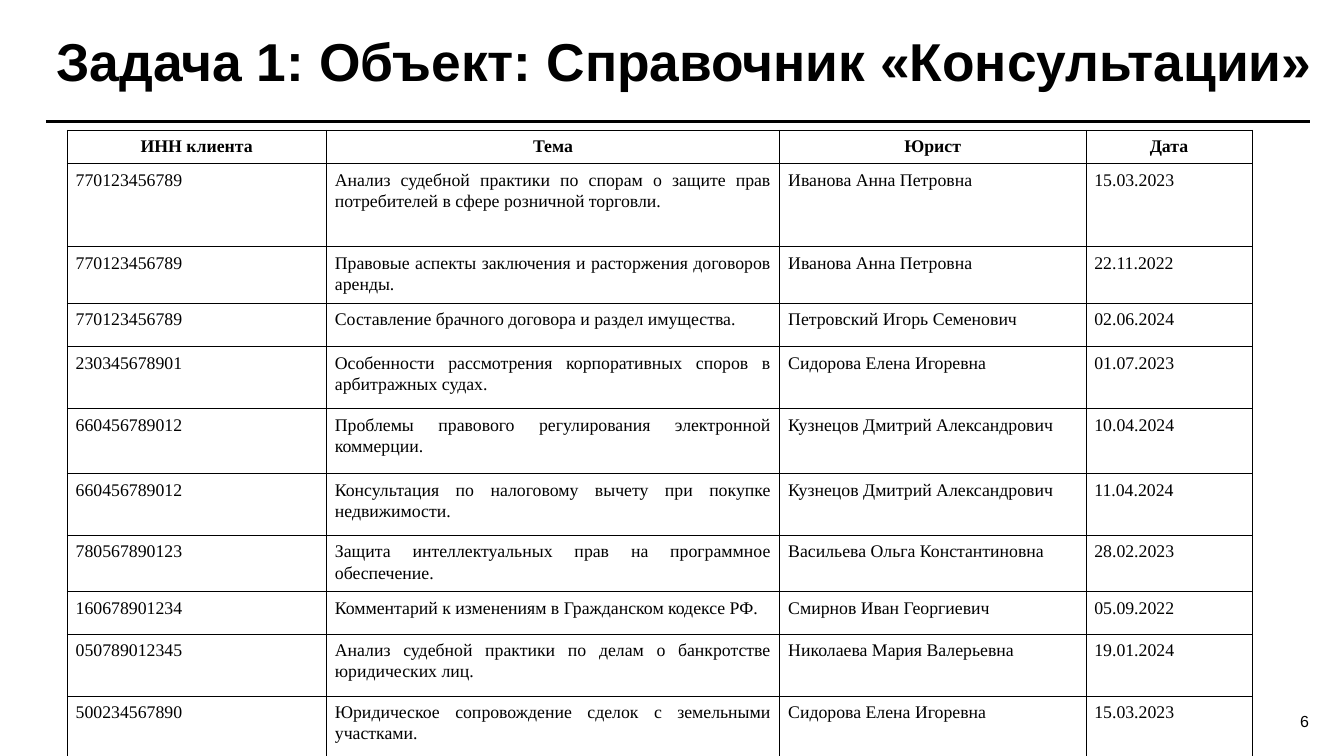
from lxml import etree
from pptx import Presentation
from pptx.dml.color import RGBColor
from pptx.enum.shapes import MSO_CONNECTOR
from pptx.enum.text import MSO_ANCHOR, PP_ALIGN
from pptx.oxml import parse_xml
from pptx.oxml.ns import nsdecls, qn
from pptx.util import Inches, Pt

BLACK = RGBColor(0, 0, 0)
WHITE = RGBColor(255, 255, 255)
LEFT, CENTER, RIGHT = PP_ALIGN.LEFT, PP_ALIGN.CENTER, PP_ALIGN.RIGHT
JUSTIFY = PP_ALIGN.JUSTIFY
TOP, MIDDLE = MSO_ANCHOR.TOP, MSO_ANCHOR.MIDDLE
STRAIGHT = MSO_CONNECTOR.STRAIGHT

MARGIN = 0.43
CELL_INSET = 0.08
COLUMN_WIDTHS = [2.43, 4.25, 2.87, 1.56]
ROW_HEIGHTS = [0.3, 0.78, 0.49, 0.41, 0.58, 0.61, 0.58, 0.5, 0.4, 0.58, 0.57]
CONSULTATIONS = [
    ("ИНН клиента", "Тема", "Юрист", "Дата"),
    ("770123456789", "Анализ судебной практики по спорам о защите прав "
     "потребителей в сфере розничной торговли.",
     "Иванова Анна Петровна", "15.03.2023"),
    ("770123456789", "Правовые аспекты заключения и расторжения договоров аренды.",
     "Иванова Анна Петровна", "22.11.2022"),
    ("770123456789", "Составление брачного договора и раздел имущества.",
     "Петровский Игорь Семенович", "02.06.2024"),
    ("230345678901", "Особенности рассмотрения корпоративных споров в "
     "арбитражных судах.",
     "Сидорова Елена Игоревна", "01.07.2023"),
    ("660456789012", "Проблемы правового регулирования электронной коммерции.",
     "Кузнецов Дмитрий Александрович", "10.04.2024"),
    ("660456789012", "Консультация по налоговому вычету при покупке недвижимости.",
     "Кузнецов Дмитрий Александрович", "11.04.2024"),
    ("780567890123", "Защита интеллектуальных прав на программное обеспечение.",
     "Васильева Ольга Константиновна", "28.02.2023"),
    ("160678901234", "Комментарий к изменениям в Гражданском кодексе РФ.",
     "Смирнов Иван Георгиевич", "05.09.2022"),
    ("050789012345", "Анализ судебной практики по делам о банкротстве "
     "юридических лиц.",
     "Николаева Мария Валерьевна", "19.01.2024"),
    ("500234567890", "Юридическое сопровождение сделок с земельными участками.",
     "Сидорова Елена Игоревна", "15.03.2023"),
]


def write(frame, text, size=12, font="Times New Roman", bold=False,
          align=LEFT, anchor=TOP, spacing=None, after=0):
    frame.word_wrap = True
    frame.vertical_anchor = anchor
    para = frame.paragraphs[0]
    para.alignment = align
    para.line_spacing = spacing
    para.space_after = Pt(after)
    span = para.add_run()
    span.text = text
    span.font.size = Pt(size)
    span.font.name = font
    span.font.bold = bold
    span.font.color.rgb = BLACK


def draw_borders(cell, top, bottom):
    properties = cell._tc.get_or_add_tcPr()
    for side, width in (("L", 0.45), ("R", 0.45), ("T", top), ("B", bottom)):
        properties.append(parse_xml(
            f'<a:ln{side} {nsdecls("a")} w="{Pt(width)}"><a:solidFill>'
            f'<a:srgbClr val="{BLACK}"/></a:solidFill></a:ln{side}>'))


deck = Presentation()
deck.slide_width, deck.slide_height = Inches(12.6), Inches(7.09)
page = deck.slides.add_slide(deck.slide_layouts[6])
page.background.fill.solid()
page.background.fill.fore_color.rgb = WHITE

# Rule under the title
rule = page.shapes.add_connector(
    STRAIGHT, Inches(MARGIN), Inches(1.14), Inches(12.28), Inches(1.14))
rule.line.color.rgb = BLACK
rule.line.width = Pt(2.25)
etree.SubElement(rule._element.spPr, qn("a:effectLst"))

# Page number
number_box = page.shapes.add_textbox(
    Inches(9.43), Inches(6.62), Inches(2.94), Inches(0.3))
write(number_box.text_frame, "6", size=10.8, font="Arial", align=RIGHT)

# Title
title_box = page.shapes.add_textbox(
    Inches(MARGIN), Inches(0.08), deck.slide_width - Inches(MARGIN), Inches(0.97))
write(title_box.text_frame, "Задача 1: Объект: Справочник «Консультации»",
      size=36, font="Arial", bold=True, anchor=MIDDLE)

# Table of consultations
table = page.shapes.add_table(
    len(ROW_HEIGHTS), len(COLUMN_WIDTHS), Inches(0.63), Inches(1.22),
    Inches(sum(COLUMN_WIDTHS)), Inches(sum(ROW_HEIGHTS))).table
table.first_row = table.horz_banding = False
for column, width in zip(table.columns, COLUMN_WIDTHS):
    column.width = Inches(width)
for row_index, record in enumerate(CONSULTATIONS):
    header = row_index == 0
    table.rows[row_index].height = Inches(ROW_HEIGHTS[row_index])
    for column_index, text in enumerate(record):
        cell = table.cell(row_index, column_index)
        cell.margin_left = cell.margin_right = Inches(CELL_INSET)
        draw_borders(cell, top=0.75 if row_index == 1 else 0.45,
                     bottom=0.75 if header else 0.45)
        cell.fill.background()
        write(cell.text_frame, text, bold=header, spacing=1.07, after=8,
              align=CENTER if header else JUSTIFY)

deck.save("out.pptx")
